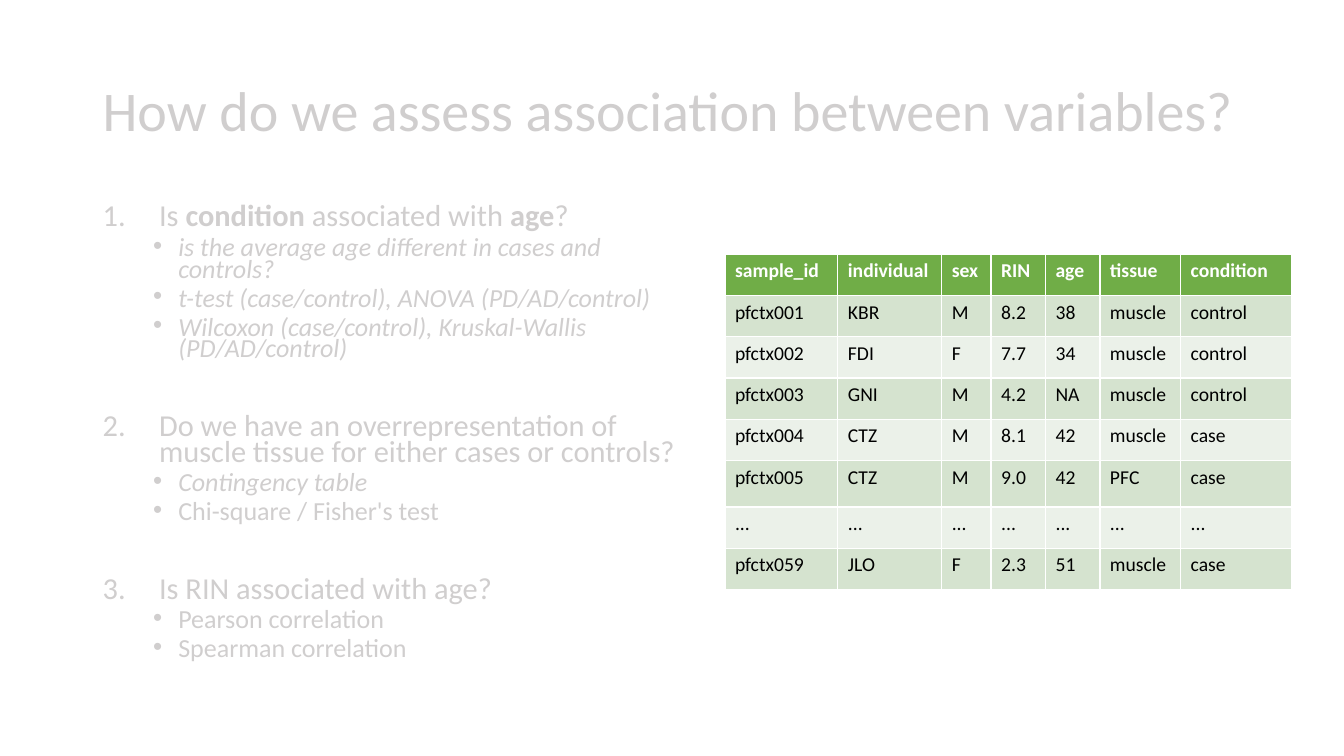
from lxml.etree import SubElement as Sub
from pptx import Presentation
from pptx.dml.color import RGBColor as Rgb
from pptx.enum.text import MSO_ANCHOR as Anchor
from pptx.oxml.ns import qn
from pptx.util import Inches, Pt

TITLE = "How do we assess association between variables?"
TOPICS = [
    ([("Is ", False), ("condition", True), (" associated with ", False),
      ("age", True), ("?", False)],
     [("is the average age different in cases and controls?", True),
      ("t-test (case/control), ANOVA (PD/AD/control)", True),
      ("Wilcoxon (case/control), Kruskal-Wallis (PD/AD/control)", True)]),
    ([("Do we have an overrepresentation of muscle tissue "
       "for either cases or controls?", False)],
     [("Contingency table", True), ("Chi-square / Fisher's test", False)]),
    ([("Is RIN associated with age?", False)],
     [("Pearson correlation", False), ("Spearman correlation", False)]),
]
SAMPLES = [
    ("sample_id", "individual", "sex", "RIN", "age", "tissue", "condition"),
    ("pfctx001", "KBR", "M", "8.2", "38", "muscle", "control"),
    ("pfctx002", "FDI", "F", "7.7", "34", "muscle", "control"),
    ("pfctx003", "GNI", "M", "4.2", "NA", "muscle", "control"),
    ("pfctx004", "CTZ", "M", "8.1", "42", "muscle", "case"),
    ("pfctx005", "CTZ", "M", "9.0", "42", "PFC", "case"),
    ("...",) * 7,
    ("pfctx059", "JLO", "F", "2.3", "51", "muscle", "case"),
]
WIDTHS = [1.12, 1.03, 0.49, 0.54, 0.54, 0.8, 1.1]
HEIGHTS = [0.41] * 5 + [0.46] + [0.41] * 2
GREY, WHITE, BLACK = "D0CECE", "FFFFFF", "000000"
GREEN, BANDS = "70AD47", ("EBF1E9", "D5E3CF")


def color(code):
    return Rgb.from_string(code)


def write(para, text, size=14, ink=GREY, bold=False, italic=False):
    run = para.add_run()
    run.text = text
    font = run.font
    font.name, font.size = "Calibri", Pt(size)
    font.bold, font.italic = bold, italic
    font.color.rgb = color(ink)


def add_box(slide, left, top, width, height):
    frame = slide.shapes.add_textbox(
        Inches(left), Inches(top), Inches(width), Inches(height)).text_frame
    frame.word_wrap = True
    return frame


def add_item(frame, level, indent, hang, before):
    first = frame.paragraphs[0]
    para = frame.add_paragraph() if first.runs else first
    para.level = level
    props = para._p.get_or_add_pPr()
    props.set("marL", str(Inches(indent)))
    props.set("indent", str(-Inches(hang)))
    if level:
        Sub(props, qn("a:buFont"), typeface="Arial")
        Sub(props, qn("a:buChar"), char="•")
    else:
        Sub(props, qn("a:buFont"), typeface="+mj-lt")
        Sub(props, qn("a:buAutoNum"), type="arabicPeriod")
    para.line_spacing = 0.7
    para.space_before = Pt(before)
    return para


def add_topics(slide):
    frame = add_box(slide, 0.92, 2, 6.13, 4.76)
    for order, (question, tests) in enumerate(TOPICS):
        para = add_item(frame, 0, 0.56, 0.56, 38.5 if order else 0)
        for text, bold in question:
            write(para, text, size=21.7, bold=bold)
        for text, italic in tests:
            para = add_item(frame, 1, 0.75, 0.25, 5)
            write(para, text, size=18.6, italic=italic)


def add_samples(slide):
    table = slide.shapes.add_table(
        len(SAMPLES), len(WIDTHS), Inches(7.19), Inches(2.52),
        Inches(sum(WIDTHS)), Inches(sum(HEIGHTS))).table
    for col, width in zip(table.columns, WIDTHS):
        col.width = Inches(width)
    for row, height in zip(table.rows, HEIGHTS):
        row.height = Inches(height)
    for r, values in enumerate(SAMPLES):
        head = r == 0
        for c, value in enumerate(values):
            cell = table.cell(r, c)
            cell.fill.solid()
            cell.fill.fore_color.rgb = color(GREEN if head else BANDS[r % 2])
            write(cell.text_frame.paragraphs[0], value,
                  ink=WHITE if head else BLACK, bold=head)


def main():
    deck = Presentation()
    deck.slide_width, deck.slide_height = Inches(13.33), Inches(7.5)
    slide = deck.slides.add_slide(deck.slide_layouts[6])
    title = add_box(slide, 0.92, 0.4, 11.5, 1.45)
    title.vertical_anchor = Anchor.MIDDLE
    title.paragraphs[0].line_spacing = 0.9
    write(title.paragraphs[0], TITLE, size=40)
    add_topics(slide)
    add_samples(slide)
    deck.save("out.pptx")


if __name__ == "__main__":
    main()
